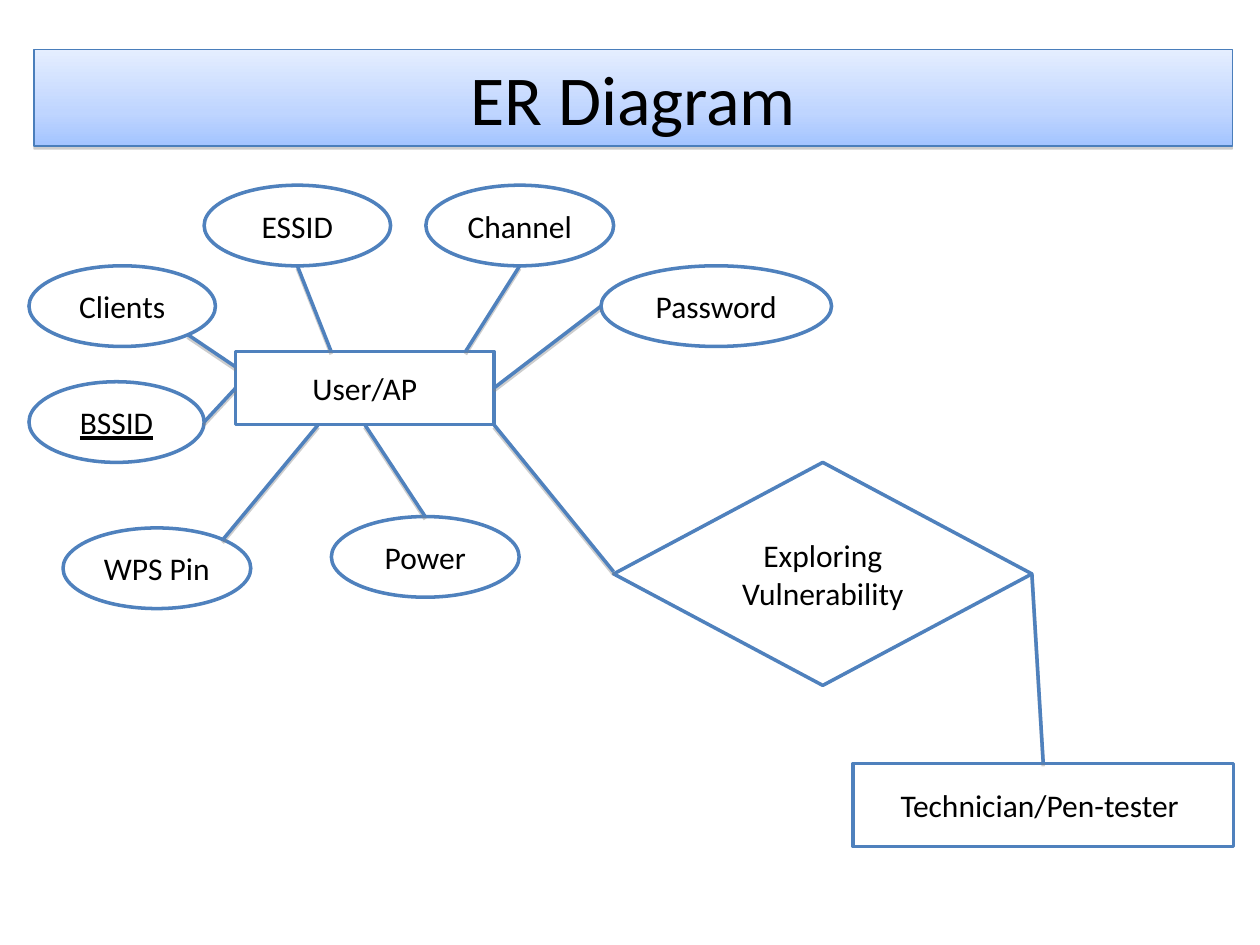
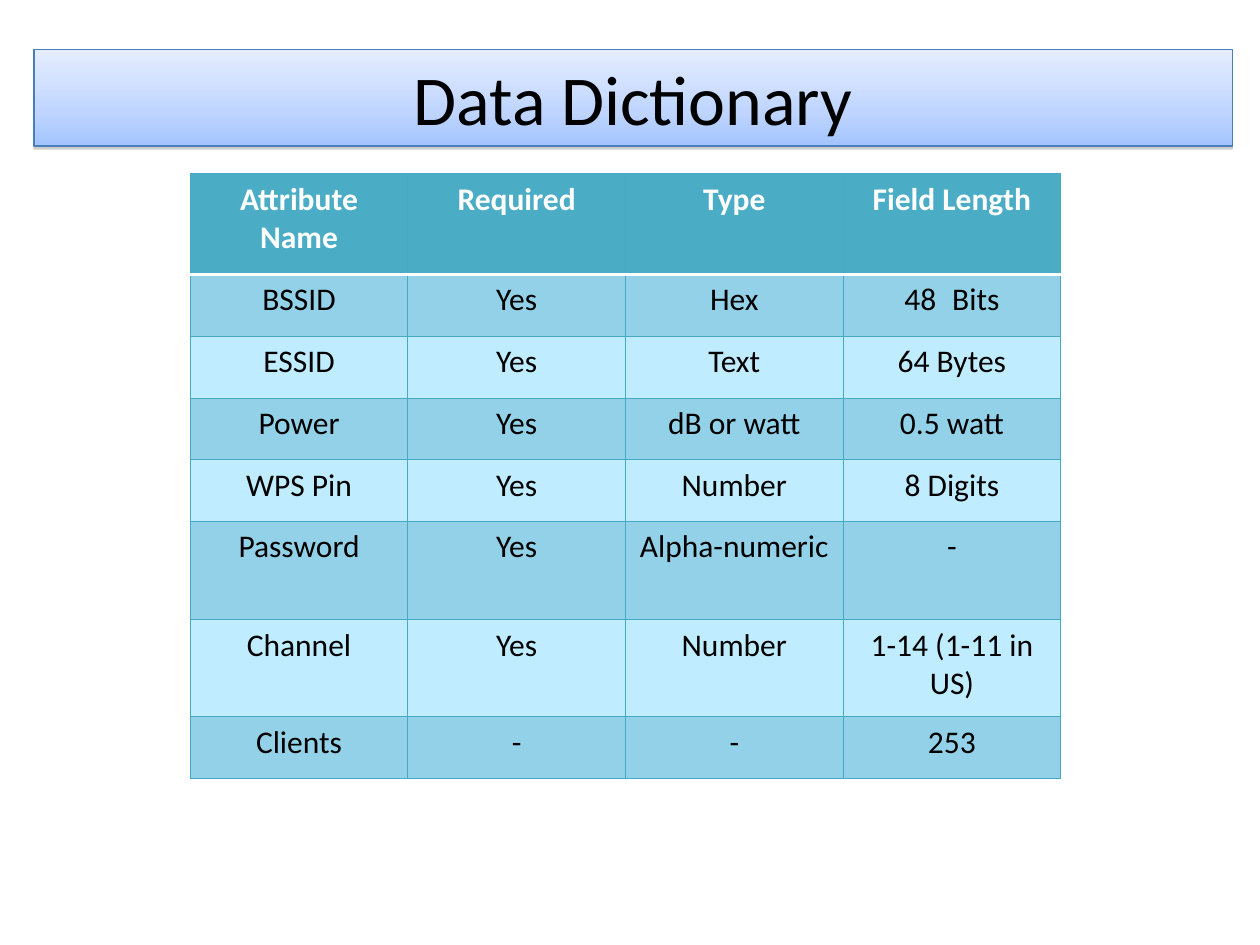
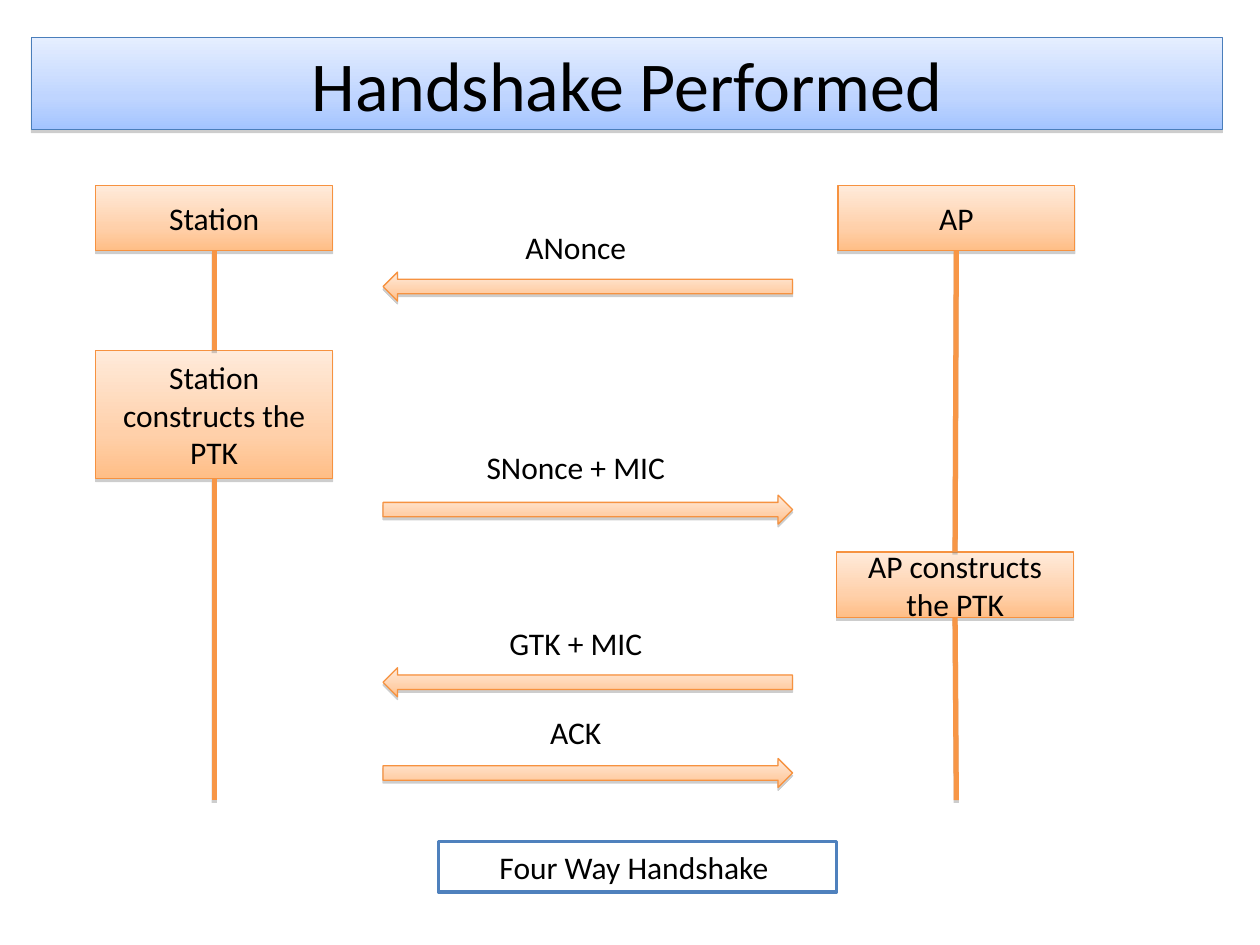
from copy import deepcopy

from lxml import etree
from pptx import Presentation
from pptx.dml.color import RGBColor
from pptx.enum.shapes import MSO_CONNECTOR, MSO_SHAPE
from pptx.enum.text import MSO_ANCHOR, MSO_AUTO_SIZE, PP_ALIGN
from pptx.oxml.ns import qn
from pptx.util import Inches, Pt

RECT, OVAL, DIAMOND = MSO_SHAPE.RECTANGLE, MSO_SHAPE.OVAL, MSO_SHAPE.DIAMOND
ARROWS = {"left": MSO_SHAPE.LEFT_ARROW, "right": MSO_SHAPE.RIGHT_ARROW}
STRAIGHT = MSO_CONNECTOR.STRAIGHT
CENTER = PP_ALIGN.CENTER
TOP, MIDDLE = MSO_ANCHOR.TOP, MSO_ANCHOR.MIDDLE
TITLE_ONLY = 5


class Theme:
    font = "Calibri"
    title_size, body_size = 40, 18
    black, white = "000000", "FFFFFF"
    blue, title_line = "4F81BD", "4A7EBB"
    orange, orange_line = "F79646", "F69240"
    title_fill = ("E5EEFF", "BFD5FF", "A3C4FF")
    orange_fill = ("FFEBDB", "FFD0AA", "FFBE86")
    stops = (0, 0.65, 1)
    header, band_dark, band_light = "4BACC6", "92D1E8", "BFECFF"
    grid, shadow = "46AAC5", "808080"


# Content: ER diagram, name -> (shape, left, top, width, height)
TITLE_BOX = (0.27, 0.39, 9.51, 0.77)
NODES = {
    "User/AP": (RECT, 1.87, 2.79, 2.05, 0.58),
    "Power": (OVAL, 2.63, 4.1, 1.49, 0.64),
    "BSSID": (OVAL, 0.23, 3.03, 1.39, 0.64),
    "WPS Pin ": (OVAL, 0.5, 4.19, 1.49, 0.64),
    "Clients": (OVAL, 0.23, 2.11, 1.48, 0.64),
    "ESSID": (OVAL, 1.62, 1.47, 1.48, 0.64),
    "Channel": (OVAL, 3.38, 1.47, 1.49, 0.64),
    "Password": (OVAL, 4.77, 2.11, 1.83, 0.64),
    "Exploring Vulnerability": (DIAMOND, 4.87, 3.67, 3.32, 1.77),
    "Technician/Pen-tester ": (RECT, 6.77, 6.06, 3.02, 0.66),
}
KEY_ATTRIBUTE = "BSSID"
# Each end is a node and the fraction of its width and height
LINKS = [
    (("Exploring Vulnerability", 1, 0.5), ("Technician/Pen-tester ", 0.5, 0)),
    (("User/AP", 1, 1), ("Exploring Vulnerability", 0, 0.49)),
    (("User/AP", 0.5, 1), ("Power", 0.5, 0)),
    (("ESSID", 0.5, 1), ("User/AP", 0.37, 0)),
    (("Channel", 0.5, 1), ("User/AP", 0.89, 0)),
    (("Password", 0, 0.5), ("User/AP", 1, 0.5)),
    (("Clients", 0.85, 0.85), ("User/AP", 0, 0.21)),
    (("BSSID", 1, 0.5), ("User/AP", 0, 0.5)),
    (("WPS Pin ", 0.85, 0.15), ("User/AP", 0.32, 1)),
]

# Content: data dictionary
ROWS = [
    ("Attribute Name", "Required", "Type", "Field Length"),
    ("BSSID", "Yes", "Hex", "Bits"),
    ("ESSID", "Yes", "Text", "64 Bytes"),
    ("Power", "Yes", "dB or watt", "0.5 watt"),
    ("WPS Pin", "Yes", "Number", "8 Digits"),
    ("Password", "Yes", "Alpha-numeric", "-"),
    ("Channel", "Yes", "Number", "1-14 (1-11 in US)"),
    ("Clients", "-", "-", "253"),
]
ROW_HEIGHTS = (0.8, 0.49, 0.49, 0.49, 0.49, 0.78, 0.77, 0.49)
TABLE_BOX = (1.51, 1.38, 6.91, sum(ROW_HEIGHTS))
NUMBERED_CELL, FIRST_NUMBER = (1, 3), 48

# Content: handshake, lifelines as (text, left, top, height)
HANDSHAKE_TITLE_BOX = (0.25, 0.3, 9.45, 0.73)
BOX_WIDTH, LIFELINE_END = 1.88, 6.35
LIFELINES = [
    [("Station", 0.76, 1.47, 0.52),
     ("Station constructs the PTK", 0.76, 2.78, 1.02)],
    [("AP", 6.65, 1.47, 0.52),
     ("AP constructs the PTK", 6.64, 4.38, 0.52)],
]
# Text, direction, label top, arrow top
MESSAGES = [
    ("ANonce", "left", 1.76, 2.16),
    ("SNonce + MIC", "right", 3.51, 3.93),
    ("GTK + MIC", "left", 4.9, 5.3),
    ("ACK", "right", 5.61, 6.02),
]
CAPTION, CAPTION_BOX = "Four Way Handshake ", (3.48, 6.68, 3.16, 0.4)


# Shared helpers
def rgb(value):
    return RGBColor.from_string(value)


def inches(*values):
    return [Inches(v) for v in values]


def add_xml(parent, tag, **attrs):
    return etree.SubElement(parent, qn(tag),
                            {k: str(v) for k, v in attrs.items()})


def set_font(p, size=Theme.body_size, color=Theme.black, bold=False):
    p.alignment = CENTER
    p.font.name, p.font.size, p.font.bold = Theme.font, Pt(size), bold
    p.font.color.rgb = rgb(color)


def set_text(sp, text, size=Theme.body_size, anchor=MIDDLE):
    tf = sp.text_frame
    tf.text = text
    tf.word_wrap, tf.auto_size = True, MSO_AUTO_SIZE.NONE
    tf.vertical_anchor = anchor
    set_font(tf.paragraphs[0], size)


def set_line(sp, color, width):
    sp.line.color.rgb = rgb(color)
    sp.line.width = Pt(width)


def add_shadow(sp):
    spPr = sp._element.spPr
    effects = spPr.find(qn("a:effectLst"))
    if effects is None:
        effects = add_xml(spPr, "a:effectLst")
    outer = add_xml(effects, "a:outerShdw", blurRad=0, dist=Pt(1.6),
                    dir=5400000, rotWithShape=0)
    color = add_xml(outer, "a:srgbClr", val=Theme.shadow)
    add_xml(color, "a:alpha", val=38000)


def style_gradient(sp, colors, line):
    sp.fill.gradient()
    sp.fill.gradient_angle = 270
    stop_list = sp._element.spPr.find(qn("a:gradFill")).find(qn("a:gsLst"))
    stop_list.append(deepcopy(stop_list[1]))
    for stop, color, position in zip(sp.fill.gradient_stops, colors, Theme.stops):
        stop.color.rgb, stop.position = rgb(color), position
    set_line(sp, line, 0.75)
    sp.shadow.inherit = False
    add_shadow(sp)


def add_slide(prs, title, box=TITLE_BOX):
    slide = prs.slides.add_slide(prs.slide_layouts[TITLE_ONLY])
    sp = slide.shapes.title
    sp.left, sp.top, sp.width, sp.height = inches(*box)
    style_gradient(sp, Theme.title_fill, Theme.title_line)
    set_text(sp, title, Theme.title_size)
    return slide


def add_outlined(slide, kind, box, text):
    sp = slide.shapes.add_shape(kind, *inches(*box))
    sp.shadow.inherit = False
    sp.fill.solid()
    sp.fill.fore_color.rgb = rgb(Theme.white)
    set_line(sp, Theme.blue, 2)
    set_text(sp, text)
    return sp


def add_orange(slide, kind, box):
    sp = slide.shapes.add_shape(kind, *inches(*box))
    style_gradient(sp, Theme.orange_fill, Theme.orange_line)
    return sp


def add_line(slide, start, end, color, width):
    line = slide.shapes.add_connector(STRAIGHT, *inches(*start, *end))
    set_line(line, color, width)
    add_shadow(line)


# Slide builders
def point_on(name, fx, fy):
    _, left, top, width, height = NODES[name]
    return left + fx * width, top + fy * height


def build_er_diagram(prs):
    slide = add_slide(prs, "ER Diagram")
    for name, (kind, *box) in NODES.items():
        sp = add_outlined(slide, kind, box, name)
        if name == KEY_ATTRIBUTE:
            sp.text_frame.paragraphs[0].font.underline = True
    for start, end in LINKS:
        add_line(slide, point_on(*start), point_on(*end), Theme.blue, 2)


def set_borders(cell, row):
    tcPr = cell._tc.get_or_add_tcPr()
    white_side = {0: "B", 1: "T"}.get(row)
    for index, side in enumerate("LRTB"):
        white = side == white_side
        border = etree.Element(qn("a:ln" + side), w=str(Pt(2 if white else 0.75)))
        fill = add_xml(border, "a:solidFill")
        add_xml(fill, "a:srgbClr", val=Theme.white if white else Theme.grid)
        tcPr.insert(index, border)


def add_number(p, start):
    pPr = p._p.get_or_add_pPr()
    pPr.set("marL", str(Inches(0.38)))
    pPr.set("indent", str(Inches(-0.38)))
    add_xml(pPr, "a:buFont", typeface="+mj-lt")
    add_xml(pPr, "a:buAutoNum", type="arabicPlain", startAt=start)


def build_data_dictionary(prs):
    slide = add_slide(prs, "Data Dictionary")
    table = slide.shapes.add_table(len(ROWS), len(ROWS[0]),
                                   *inches(*TABLE_BOX)).table
    for r, (values, height) in enumerate(zip(ROWS, ROW_HEIGHTS)):
        table.rows[r].height = Inches(height)
        band = Theme.band_dark if r % 2 else Theme.band_light
        for c, value in enumerate(values):
            cell = table.cell(r, c)
            cell.text, cell.vertical_anchor = value, TOP
            cell.fill.solid()
            cell.fill.fore_color.rgb = rgb(band if r else Theme.header)
            set_borders(cell, r)
            p = cell.text_frame.paragraphs[0]
            if (r, c) == NUMBERED_CELL:
                add_number(p, FIRST_NUMBER)
            set_font(p, color=Theme.black if r else Theme.white, bold=r == 0)


def build_handshake(prs):
    slide = add_slide(prs, "Handshake Performed", HANDSHAKE_TITLE_BOX)
    add_outlined(slide, RECT, CAPTION_BOX, CAPTION)

    # Boxes of each lifeline, joined downwards
    for boxes in LIFELINES:
        for text, left, top, height in boxes:
            sp = add_orange(slide, RECT, (left, top, BOX_WIDTH, height))
            set_text(sp, text)
        centers = [left + BOX_WIDTH / 2 for _, left, _, _ in boxes]
        starts = [(x, top + height)
                  for x, (_, _, top, height) in zip(centers, boxes)]
        ends = [(centers[1], boxes[1][2]), (centers[0], LIFELINE_END)]
        for start, end in zip(starts, ends):
            add_line(slide, start, end, Theme.orange, 3)

    # Messages between the lifelines
    for text, direction, label_top, arrow_top in MESSAGES:
        add_orange(slide, ARROWS[direction], (3.04, arrow_top, 3.25, 0.23))
        label = slide.shapes.add_textbox(*inches(3.62, label_top, 1.9, 0.4))
        set_text(label, text, anchor=TOP)


def main():
    prs = Presentation()
    prs.slide_width, prs.slide_height = inches(10, 7.5)
    build_er_diagram(prs)
    build_data_dictionary(prs)
    build_handshake(prs)
    prs.save("out.pptx")


if __name__ == "__main__":
    main()
